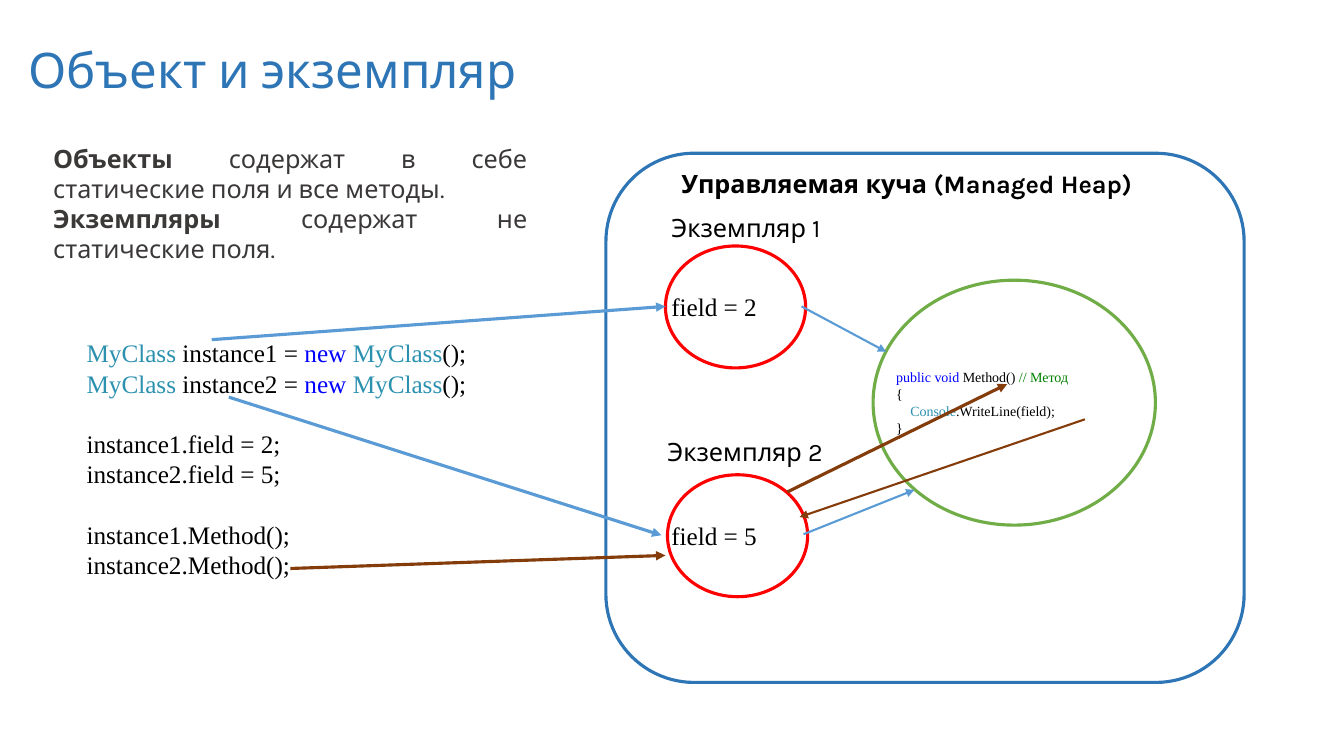
from pptx import Presentation, util as u
from pptx.dml.color import RGBColor
from pptx.enum import shapes, text
from pptx.oxml.ns import qn
from lxml import etree

HUES = {"head": "2E75B6", "body": "3B3838", "black": "000000", "white": "FFFFFF",
        "type": "2B91AF", "key": "0000FF", "note": "008000", "red": "FF0000",
        "green": "70AD47", "blue": "5B9BD5", "brown": "843C0B"}
SANS, SERIF = "Karla", "Times New Roman"


def hue(name):
    return RGBColor.from_string(HUES[name])


class Deck:
    def __init__(self):
        self.prs = Presentation()
        self.prs.slide_width = u.Inches(13.33)
        self.prs.slide_height = u.Inches(7.5)
        self.slide = self.prs.slides.add_slide(self.prs.slide_layouts[5])
        self.items = self.slide.shapes

    def place(self, shape, box):
        shape.left, shape.top, shape.width, shape.height = map(u.Inches, box)

    def typeset(self, frame, paras, size, font, align=text.PP_ALIGN.LEFT):
        """Each paragraph is a list of (words, colour, bold) runs."""
        frame.word_wrap = True
        frame.vertical_anchor = text.MSO_ANCHOR.TOP
        frame.auto_size = text.MSO_AUTO_SIZE.NONE
        for i, runs in enumerate(paras):
            para = frame.paragraphs[0] if i == 0 else frame.add_paragraph()
            para.alignment = align
            for words, color, bold in runs:
                run = para.add_run()
                run.text = words
                run.font.size, run.font.name = u.Pt(size), font
                run.font.bold = bold
                run.font.color.rgb = hue(color)
        return frame.paragraphs

    def title(self, words, box):
        shape = self.items.title
        self.place(shape, box)
        self.typeset(shape.text_frame, [[(words, "head", False)]], 35, SANS)

    def text(self, box, paras, size=18, font=SANS, align=text.PP_ALIGN.LEFT):
        shape = self.items.add_textbox(*map(u.Inches, box))
        return self.typeset(shape.text_frame, paras, size, font, align)

    def label(self, box, words, font=SANS, bold=False):
        self.text(box, [[(words, "black", bold)]], font=font)

    def shape(self, kind, box, color):
        shape = self.items.add_shape(kind, *map(u.Inches, box))
        shape.shadow.inherit = False
        shape.fill.solid()
        shape.fill.fore_color.rgb = hue("white")
        shape.line.color.rgb = hue(color)
        shape.line.width = u.Pt(2.25)

    def arrow(self, start, end, color, width=2.25):
        wire = self.items.add_connector(shapes.MSO_CONNECTOR.STRAIGHT,
                                        *map(u.Inches, start + end))
        wire.line.color.rgb = hue(color)
        wire.line.width = u.Pt(width)
        props = wire._element.spPr
        etree.SubElement(props.find(qn("a:ln")), qn("a:tailEnd"), type="triangle")
        etree.SubElement(props, qn("a:effectLst"))


def code(*parts):
    return [(words, color, False) for words, color in parts]


def create(name):
    return code(("MyClass", "type"), (f" {name} = ", "black"), ("new ", "key"),
                ("MyClass", "type"), ("();", "black"))


deck = Deck()
OVAL = shapes.MSO_SHAPE.OVAL

# Title and definitions
deck.title("Объект и экземпляр", (0.18, 0.34, 6.01, 0.69))
deck.text((0.43, 1.37, 4.9, 1.31), [
    [("Объекты", "body", True),
     (" содержат в себе статические поля и все методы.", "body", False)],
    [("Экземпляры ", "body", True),
     ("содержат не статические поля.", "body", False)],
], align=text.PP_ALIGN.JUSTIFY)

# Managed heap
deck.shape(shapes.MSO_SHAPE.ROUNDED_RECTANGLE, (6.01, 1.52, 6.33, 5.25), "head")

# Calling code, in three groups
names = ("instance1", "instance2")
calls = [create(name) for name in names]
calls += [code((f"{name}.field = {value};", "black")) for name, value in zip(names, (2, 5))]
calls += [code((f"{name}.Method();", "black")) for name in names]
lines = deck.text((0.76, 3.3, 6.98, 2.52), calls, font=SERIF)
for first in (2, 4):
    lines[first].space_before = u.Pt(21.6)
for line in lines:
    line.line_spacing = u.Pt(21.6)

# Shared method
deck.shape(OVAL, (8.66, 2.78, 2.8, 2.43), "green")
lines = deck.text((8.79, 3.61, 2.9, 0.77), [
    code(("public void", "key"), (" Method() ", "black"), ("// Метод", "note")),
    code(("{", "black")),
    code(("Console", "type"), (".WriteLine(field);", "black")),
    code(("}", "black")),
], 10, SERIF)
lines[2]._p.get_or_add_pPr().set("marL", str(u.Inches(0.14)))
for line in lines:
    line.line_spacing = u.Pt(12)

# Instances
deck.label((6.66, 1.62, 5.04, 0.4), "Управляемая куча (Managed Heap)", bold=True)
for num, value, left, top, side, head in ((1, 2, 6.6, 2.44, 6.56, 2.06),
                                          (2, 5, 6.62, 4.71, 6.52, 4.28)):
    deck.shape(OVAL, (left, top, 1.39, 1.21), "red")
    deck.label((6.56, top + 0.4, 1.11, 0.4), f"field = {value}", SERIF)
    deck.label((side, head, 1.85, 0.4), f"Экземпляр {num}")

# References and calls
for start, end, color, width in (
        ((2.1, 3.37), (6.6, 3.04), "blue", 2.25),
        ((2.27, 3.94), (6.56, 5.31), "blue", 2.25),
        ((7.95, 3.04), (8.79, 3.49), "blue", 1.5),
        ((7.97, 5.3), (9.07, 4.86), "blue", 1.5),
        ((2.88, 5.64), (6.6, 5.51), "brown", 2.25),
        ((7.81, 4.88), (9.99, 3.81), "brown", 2.25),
        ((10.76, 4.16), (7.93, 5.13), "brown", 1.5)):
    deck.arrow(start, end, color, width)

deck.prs.save("out.pptx")
